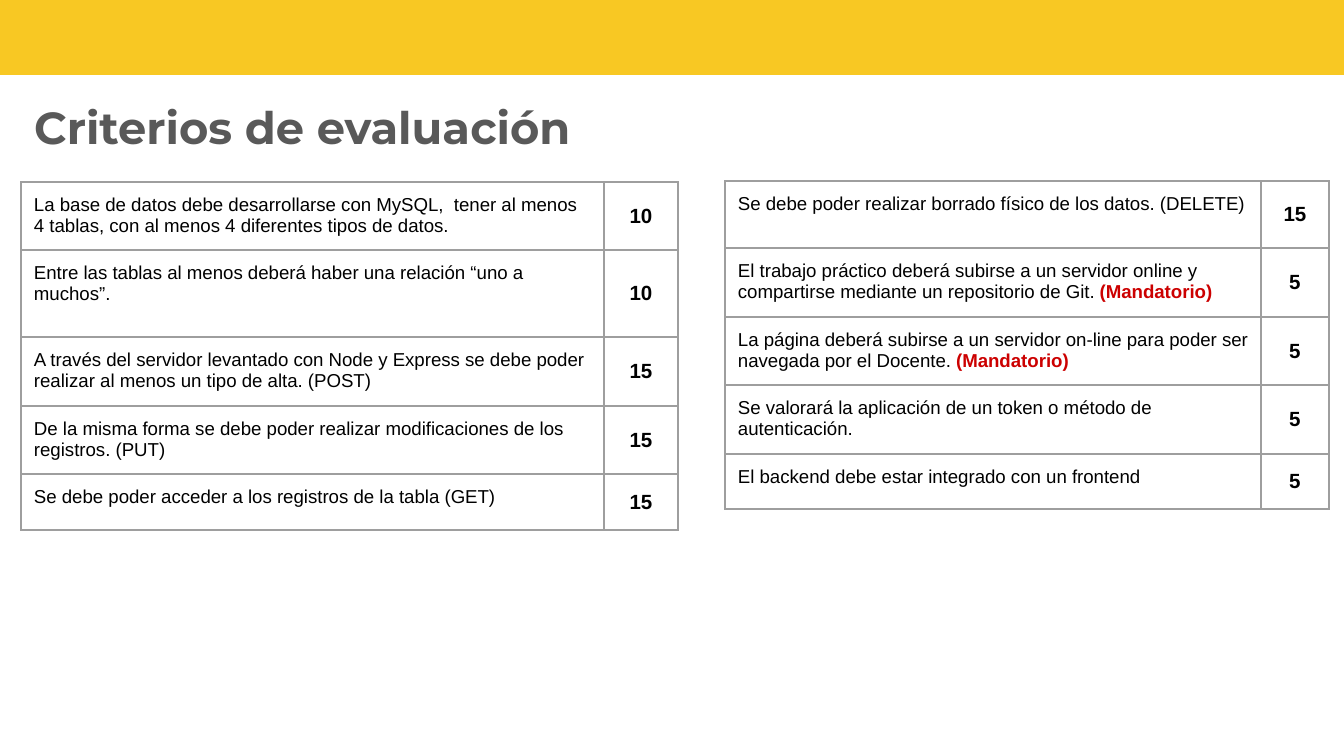
from lxml import etree
from pptx import Presentation
from pptx.dml.color import RGBColor
from pptx.enum.shapes import MSO_SHAPE
from pptx.enum.text import MSO_ANCHOR, PP_ALIGN
from pptx.oxml.ns import qn
from pptx.util import Emu, Pt

RECTANGLE = MSO_SHAPE.RECTANGLE
TOP, MIDDLE = MSO_ANCHOR.TOP, MSO_ANCHOR.MIDDLE
LEFT, CENTER = PP_ALIGN.LEFT, PP_ALIGN.CENTER
EMU_PER_PX = 914400 / 134.4
INSET = 13
COLORS = {
    "banner": "F8C823",
    "title": "595959",
    "text": "000000",
    "mandatory": "CC0000",
    "border": "9E9E9E",
}
MANDATORY = "(Mandatorio)"
LEFT_CRITERIA = [
    ("La base de datos debe desarrollarse con MySQL,  tener al menos 4 tablas, "
     "con al menos 4 diferentes tipos de datos.", 10, 68),
    ("Entre las tablas al menos deberá haber una relación “uno a muchos”.", 10, 87),
    ("A través del servidor levantado con Node y Express se debe poder realizar "
     "al menos un tipo de alta. (POST)", 15, 69),
    ("De la misma forma se debe poder realizar modificaciones de los registros. (PUT)", 15, 68),
    ("Se debe poder acceder a los registros de la tabla (GET)", 15, 56),
]
RIGHT_CRITERIA = [
    ("Se debe poder realizar borrado físico de los datos. (DELETE)", 15, 67),
    ("El trabajo práctico deberá subirse a un servidor online y compartirse "
     "mediante un repositorio de Git. (Mandatorio)", 5, 69),
    ("La página deberá subirse a un servidor on-line para poder ser navegada "
     "por el Docente. (Mandatorio)", 5, 68),
    ("Se valorará la aplicación de un token o método de autenticación.", 5, 69),
    ("El backend debe estar integrado con un frontend", 5, 55),
]


def px(length):
    """Turn pixels into EMU."""
    return Emu(round(length * EMU_PER_PX))


def color(name):
    """Return the named colour."""
    return RGBColor.from_string(COLORS[name])


def style_font(font, name, size, color_name, bold=False):
    """Set the face, size, colour and weight of a font."""
    font.name = name
    font.size = Pt(size)
    font.bold = bold
    font.color.rgb = color(color_name)


def set_insets(holder):
    """Give a cell or text frame equal margins."""
    holder.margin_left = holder.margin_right = px(INSET)
    holder.margin_top = holder.margin_bottom = px(INSET)


def add_borders(cell):
    """Draw a thin grey line on each side of a cell."""
    properties = cell._tc.get_or_add_tcPr()
    for side in ("a:lnL", "a:lnR", "a:lnT", "a:lnB"):
        line = etree.SubElement(properties, qn(side), w=str(Pt(0.75)))
        fill = etree.SubElement(line, qn("a:solidFill"))
        etree.SubElement(fill, qn("a:srgbClr"), val=COLORS["border"])


def fill_cell(cell, text, size, bold, alignment, anchor):
    """Write a cell, marking the mandatory note when present."""
    set_insets(cell)
    cell.vertical_anchor = anchor
    add_borders(cell)
    cell.fill.background()
    paragraph = cell.text_frame.paragraphs[0]
    paragraph.alignment = alignment
    style_font(paragraph.font, "Arial", size, "text", bold)
    body, note, _ = text.partition(MANDATORY)
    runs = [(body, "text", bold)]
    if note:
        runs.append((note, "mandatory", True))
    for run_text, color_name, run_bold in runs:
        run = paragraph.add_run()
        run.text = run_text
        style_font(run.font, "Arial", size, color_name, run_bold)


def add_criteria_table(slide, left, top, widths, criteria):
    """Add a table of criteria and their points."""
    height = sum(row_height for _, _, row_height in criteria)
    shape = slide.shapes.add_table(
        len(criteria), len(widths), px(left), px(top), px(sum(widths)), px(height))
    table = shape.table
    table.first_row = table.horz_banding = False
    for column, width in zip(table.columns, widths):
        column.width = px(width)
    for index, (description, points, row_height) in enumerate(criteria):
        table.rows[index].height = px(row_height)
        fill_cell(table.cell(index, 0), description, 10, False, LEFT, TOP)
        fill_cell(table.cell(index, 1), str(points), 11, True, CENTER, MIDDLE)


def add_banner(slide, left, top, width, height):
    """Add the plain band across the top."""
    banner = slide.shapes.add_shape(RECTANGLE, px(left), px(top), px(width), px(height))
    banner.shadow.inherit = False
    banner.fill.solid()
    banner.fill.fore_color.rgb = color("banner")
    banner.line.fill.background()


def add_title(slide, left, top, width, height):
    """Add the slide heading."""
    frame = slide.shapes.add_textbox(px(left), px(top), px(width), px(height)).text_frame
    frame.word_wrap = True
    set_insets(frame)
    paragraph = frame.paragraphs[0]
    paragraph.text = "Criterios de evaluación"
    style_font(paragraph.font, "Montserrat", 24, "title", True)


def main():
    """Build and save the slide."""
    presentation = Presentation()
    presentation.slide_width, presentation.slide_height = px(1344), px(756)
    slide = presentation.slides.add_slide(presentation.slide_layouts[6])
    add_banner(slide, -2, -7, 1348, 82)
    add_criteria_table(slide, 21, 182, (583, 74), LEFT_CRITERIA)
    add_criteria_table(slide, 725, 181, (536, 68), RIGHT_CRITERIA)
    add_title(slide, 21, 87, 726, 82)
    presentation.save("out.pptx")


if __name__ == "__main__":
    main()
